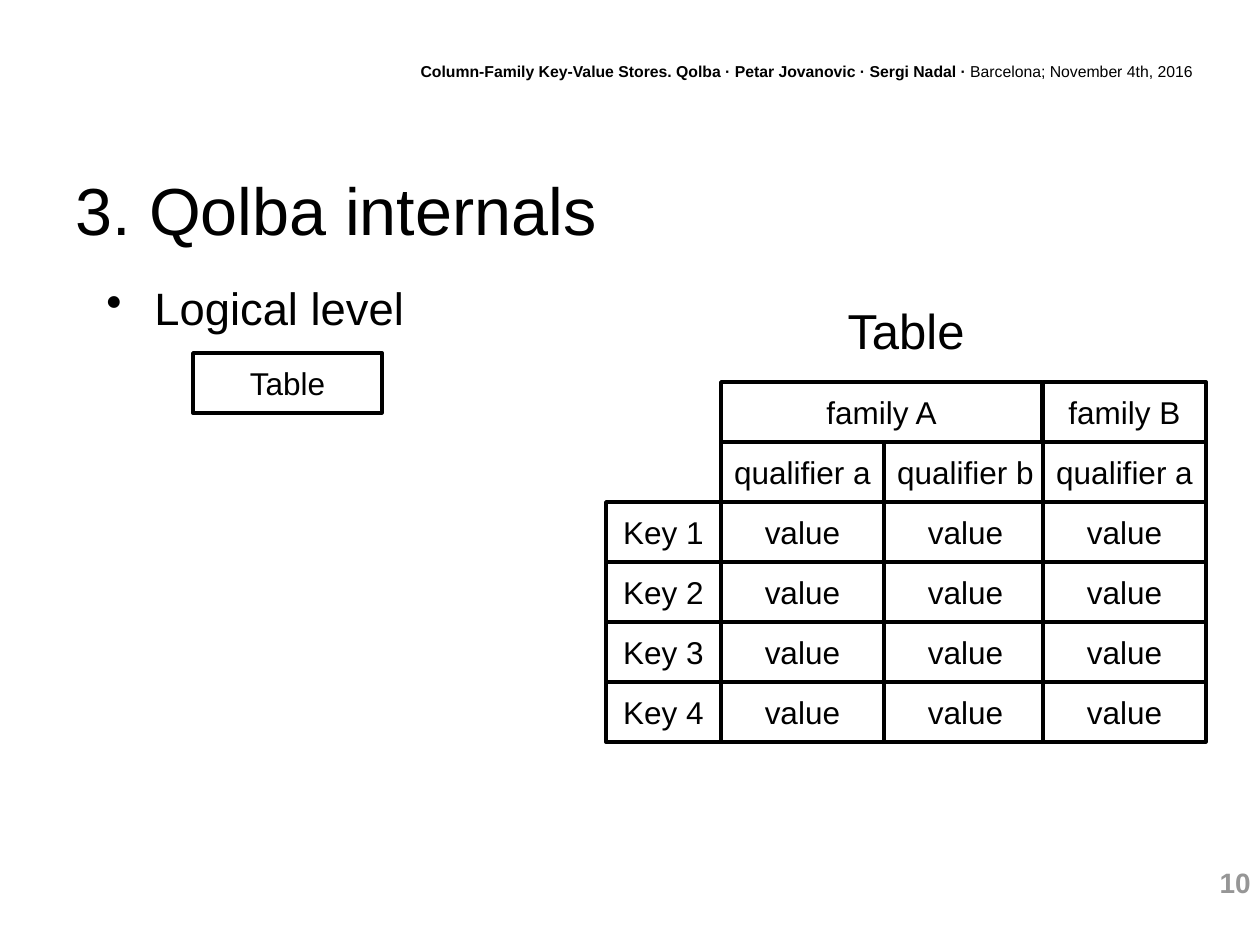
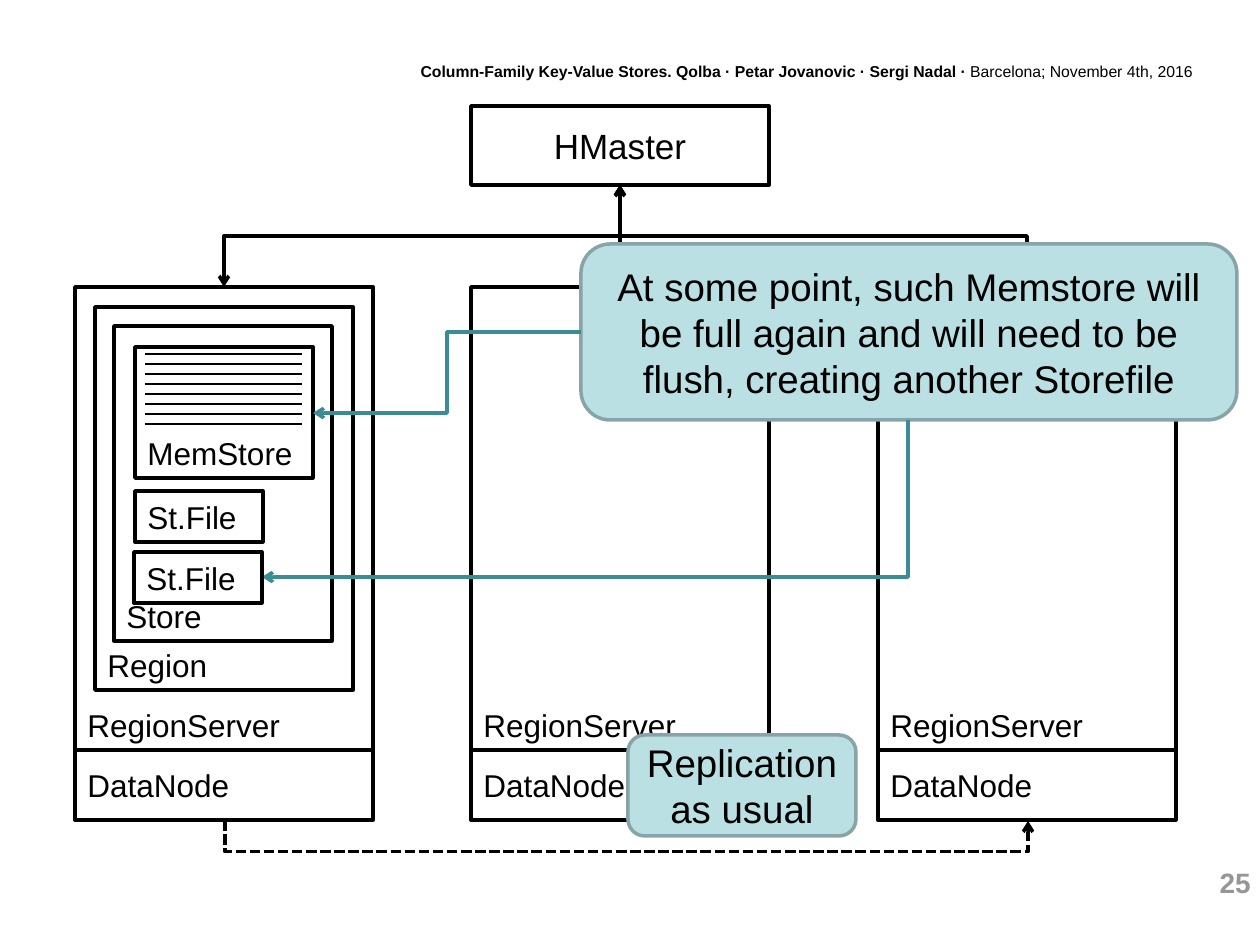
"""Build two slides on a column store: the logical table and flushing a MemStore."""
from lxml import etree
from pptx import Presentation
from pptx import util as u
from pptx.dml.color import RGBColor
from pptx.enum import dml, shapes, text
from pptx.oxml.ns import qn

PX = 914400 / 126
BLACK = RGBColor(0x00, 0x00, 0x00)
WHITE = RGBColor(0xFF, 0xFF, 0xFF)
GREY = RGBColor(0x96, 0x96, 0x96)
PALE_TEAL = RGBColor(0xBB, 0xE0, 0xE3)
GREY_TEAL = RGBColor(0x89, 0xA4, 0xA7)
TEAL = RGBColor(0x3C, 0x8C, 0x93)
FONT = "Arial"
STORE_NAME = "Qolba"
RECTANGLE = shapes.MSO_SHAPE.RECTANGLE
CALLOUT = shapes.MSO_SHAPE.FLOWCHART_ALTERNATE_PROCESS
LEFT, CENTER, RIGHT = text.PP_ALIGN.LEFT, text.PP_ALIGN.CENTER, text.PP_ALIGN.RIGHT
TOP, MIDDLE, BOTTOM = text.MSO_ANCHOR.TOP, text.MSO_ANCHOR.MIDDLE, text.MSO_ANCHOR.BOTTOM


def add_box(slide, label, bounds, size=18, align=CENTER, anchor=MIDDLE,
            kind=RECTANGLE, fill=WHITE, line=BLACK, color=BLACK):
    """Add a labelled shape, or a plain text box if kind is None; return its paragraph."""
    bounds = [round(length * PX) for length in bounds]
    if kind is None:
        shape = slide.shapes.add_textbox(*bounds)
    else:
        shape = slide.shapes.add_shape(kind, *bounds)
        shape.shadow.inherit = False
        shape.fill.solid()
        shape.fill.fore_color.rgb = fill
        shape.line.color.rgb = line
        shape.line.width = u.Pt(2)
    frame = shape.text_frame
    frame.word_wrap = True
    frame.vertical_anchor = anchor
    paragraph = frame.paragraphs[0]
    paragraph.alignment = align
    paragraph.font.name = FONT
    paragraph.font.size = u.Pt(size)
    paragraph.font.color.rgb = color
    paragraph.add_run().text = label
    return paragraph


def add_link(slide, start, end, color=BLACK, width=2, heads=(), preset="line",
             downward=False, bend=None, dash=None):
    """Add a connector; a downward one leaves its start vertically."""
    (x1, y1), (x2, y2) = start, end
    if downward:
        middle_x, middle_y = (x1 + x2) / 2, (y1 + y2) / 2
        half_width = (y2 - y1) / 2 * (1 if x2 < x1 else -1)
        half_height = abs(x2 - x1) / 2
        x1, x2 = middle_x - half_width, middle_x + half_width
        y1, y2 = middle_y - half_height, middle_y + half_height
    connector = slide.shapes.add_connector(
        shapes.MSO_CONNECTOR.STRAIGHT, *(round(length * PX) for length in (x1, y1, x2, y2)))
    connector.line.color.rgb = color
    connector.line.width = u.Pt(width)
    if dash is not None:
        connector.line.dash_style = dash
    properties = connector._element.spPr
    geometry = properties.find(qn("a:prstGeom"))
    geometry.set("prst", preset)
    if downward:
        angle = 90 if end[0] < start[0] else 270
        properties.find(qn("a:xfrm")).set("rot", str(angle * 60000))
    if bend is not None:
        guides = geometry.find(qn("a:avLst"))
        etree.SubElement(guides, qn("a:gd"), name="adj1", fmla=f"val {bend * 100000}")
    outline = connector.line._get_or_add_ln()
    for head in heads:
        etree.SubElement(outline, qn(f"a:{head}"), type="arrow")
    etree.SubElement(properties, qn("a:effectLst"))


presentation = Presentation()
presentation.slide_width = round(1260 * PX)
presentation.slide_height = round(945 * PX)

slides = []
for number in ("10", "25"):
    slide = presentation.slides.add_slide(presentation.slide_layouts[6])
    paragraph = add_box(slide, number, (1104, 859, 159, 47), 16, RIGHT, TOP, None, color=GREY)
    paragraph.font.bold = True
    header = add_box(
        slide,
        f"Column-Family Key-Value Stores. {STORE_NAME} · Petar Jovanovic · Sergi Nadal · ",
        (372, 56, 833, 32), 9, RIGHT, TOP, None)
    header.runs[0].font.bold = True
    header.add_run().text = "Barcelona; November 4th, 2016"
    slides.append(slide)
table_slide, flush_slide = slides

add_box(table_slide, f"3. {STORE_NAME} internals", (63, 155, 1134, 108), 38, LEFT, kind=None)
bullet = add_box(table_slide, "Logical level", (94, 274, 1103, 69), 25.9, LEFT, TOP, None)
bullet.space_before = u.Pt(7)
bullet_properties = bullet._p.get_or_add_pPr()
bullet_properties.set("marL", str(round(48 * PX)))
bullet_properties.set("indent", str(round(-48 * PX)))
bullet_mark = etree.Element(qn("a:buChar"), char="•")
bullet_properties.find(qn("a:defRPr")).addprevious(bullet_mark)

ROW_TOP, ROW_HEIGHT = 382, 60
COLUMNS, COLUMN_WIDTH = (721, 884, 1043), 163
KEY_LEFT, KEY_WIDTH = 606, 115
add_box(table_slide, "family A", (COLUMNS[0], ROW_TOP, 321, ROW_HEIGHT))
add_box(table_slide, "family B", (COLUMNS[2], ROW_TOP, COLUMN_WIDTH, ROW_HEIGHT))
rows = [("qualifier a", "qualifier b", "qualifier a")] + [("value",) * 3] * 4
for row, labels in enumerate(rows):
    top = ROW_TOP + (row + 1) * ROW_HEIGHT
    for left, label in zip(COLUMNS, labels):
        add_box(table_slide, label, (left, top, COLUMN_WIDTH, ROW_HEIGHT))
    if row:
        add_box(table_slide, f"Key {row}", (KEY_LEFT, top, KEY_WIDTH, ROW_HEIGHT))
add_box(table_slide, "Table", (193, 353, 189, ROW_HEIGHT))
add_box(table_slide, "Table", (606, 294, 600, 72), 28, anchor=TOP, kind=None)

SERVER_TOP, SERVER_WIDTH = 287, 298
for left in (75, 471, 878):
    add_box(flush_slide, "DataNode", (left, 750, SERVER_WIDTH, 70), align=LEFT)
    add_box(flush_slide, "RegionServer", (left, SERVER_TOP, SERVER_WIDTH, 463),
            align=LEFT, anchor=BOTTOM)
add_box(flush_slide, "HMaster", (471, 106, SERVER_WIDTH, 79), 20)

MASTER_PORT = (620, 185)
BOTH_ENDS = ("headEnd", "tailEnd")
add_link(flush_slide, MASTER_PORT, (620, SERVER_TOP), heads=BOTH_ENDS)
for server_center in (224, 1027):
    add_link(flush_slide, MASTER_PORT, (server_center, SERVER_TOP), heads=BOTH_ENDS,
             preset="bentConnector3", downward=True)

for label, bounds in (
    ("Region", (95, 307, 258, 383)),
    ("Store", (114, 326, 218, 315)),
    ("MemStore", (135, 347, 178, 131)),
):
    add_box(flush_slide, label, bounds, align=LEFT, anchor=BOTTOM)
for record in range(8):
    record_y = 354 + 10 * record
    add_link(flush_slide, (145, record_y), (302, record_y), width=0.75)

add_box(flush_slide, "At some point, such Memstore will be full again and will need to be "
        "flush, creating another Storefile", (581, 244, 656, 176), 22,
        kind=CALLOUT, fill=PALE_TEAL, line=GREY_TEAL)
add_link(flush_slide, (581, 332), (313, 413), TEAL, heads=("tailEnd",),
         preset="bentConnector3")
add_box(flush_slide, "St.File", (135, 491, 128, 51), align=LEFT, anchor=BOTTOM)
add_link(flush_slide, (908, 420), (262, 577), TEAL, heads=("tailEnd",),
         preset="bentConnector2", downward=True)
add_box(flush_slide, "St.File", (134, 552, 128, 51), align=LEFT, anchor=BOTTOM)

add_link(flush_slide, (225, 820), (1028, 821), heads=("tailEnd",), preset="bentConnector3",
         downward=True, bend=32, dash=dml.MSO_LINE.SQUARE_DOT)
add_box(flush_slide, "Replication as usual", (628, 735, 228, 101), 22,
        kind=CALLOUT, fill=PALE_TEAL, line=GREY_TEAL)

presentation.save("out.pptx")
